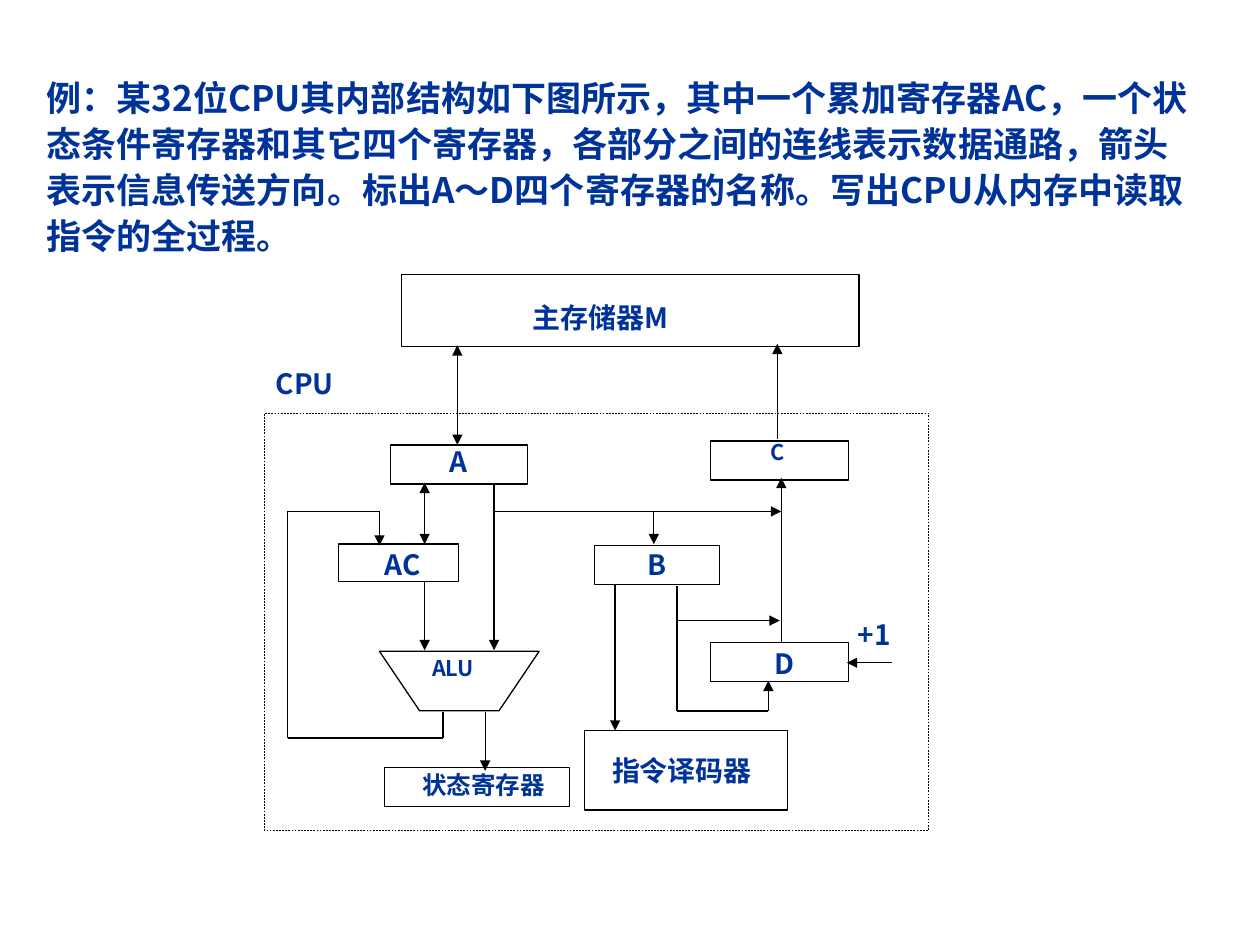
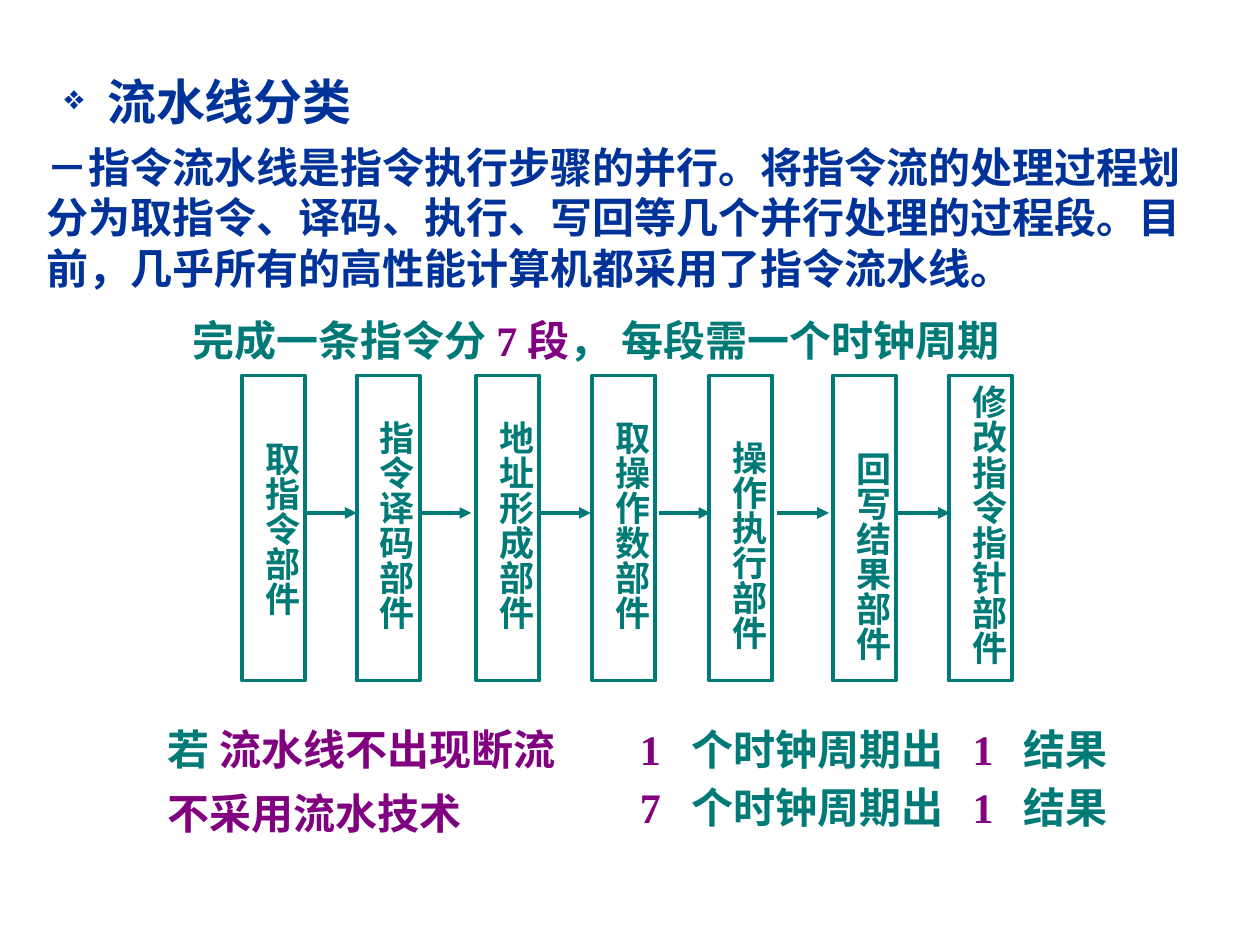
from dataclasses import dataclass
from itertools import pairwise

from pptx import Presentation
from pptx import util as u
from pptx.dml import color
from pptx.enum import dml, shapes, text
from pptx.oxml import ns, xmlchemy

ALIGN = text.PP_ALIGN


@dataclass(frozen=True)
class Theme:
    """Colours, fonts and type sizes shared by the slides."""
    navy: str = "003399"
    teal: str = "007A77"
    purple: str = "800080"
    black: str = "000000"
    cjk: str = "Noto Sans CJK SC"
    sans: str = "Arial"
    serif: str = "Times New Roman"
    heading: float = 28
    body: float = 24
    question: float = 20
    label: float = 16
    small: float = 14
    tiny: float = 12.4
    thin: float = 0.75
    thick: float = 2.25


THEME = Theme()


def cm(values):
    """Turn centimetre numbers into lengths."""
    return [u.Cm(value) for value in values]


def add_xml(parent, tag, **attributes):
    """Append a DrawingML element and return it."""
    child = xmlchemy.OxmlElement(tag)
    for key, value in attributes.items():
        child.set(key, str(value))
    parent.append(child)
    return child


def text_frame(slide, box, inset=(0.25, 0.13), anchor=text.MSO_ANCHOR.TOP, vertical=False):
    """Add a text box and return its frame."""
    frame = slide.shapes.add_textbox(*cm(box)).text_frame
    frame.word_wrap = True
    frame.vertical_anchor = anchor
    frame.margin_left = frame.margin_right = u.Cm(inset[0])
    frame.margin_top = frame.margin_bottom = u.Cm(inset[1])
    if vertical:
        frame._txBody.bodyPr.set("vert", "eaVert")
    return frame


def write(frame, *runs, size=THEME.label, font=THEME.cjk, ink=THEME.navy,
          align=ALIGN.LEFT, spacing=None, before=None, bullet=None, tabs=()):
    """Write one paragraph from strings or (string, colour) pairs."""
    first = frame.paragraphs[0]
    paragraph = frame.add_paragraph() if first.runs else first
    paragraph.alignment = align
    if spacing:
        paragraph.line_spacing = spacing
    if before:
        paragraph.space_before = u.Pt(before)
    properties = paragraph._p.get_or_add_pPr()
    if bullet:
        properties.set("marL", str(u.Cm(1.22)))
        properties.set("indent", str(-u.Cm(0.86)))
        add_xml(properties, "a:buSzPct", val=70000)
        add_xml(properties, "a:buChar", char=bullet)
    if tabs:
        stops = add_xml(properties, "a:tabLst")
        for stop in tabs:
            add_xml(stops, "a:tab", pos=u.Cm(stop), algn="l")
    for item in runs:
        words, tint = (item, ink) if isinstance(item, str) else item
        run = paragraph.add_run()
        run.text = words
        run.font.size = u.Pt(size)
        run.font.bold = True
        run.font.color.rgb = color.RGBColor.from_string(tint)
        run.font.name = font
        add_xml(run._r.get_or_add_rPr(), "a:ea", typeface=THEME.cjk)


def outline(shape, ink=THEME.black, width=THEME.thin, dash=None):
    """Leave a shape unfilled with a plain outline."""
    shape.shadow.inherit = False
    shape.fill.background()
    shape.line.color.rgb = color.RGBColor.from_string(ink)
    shape.line.width = u.Pt(width)
    if dash:
        shape.line.dash_style = dash


def block(slide, box, **line):
    """Add an outlined rectangle."""
    outline(slide.shapes.add_shape(shapes.MSO_SHAPE.RECTANGLE, *cm(box)), **line)


def polygon(slide, points):
    """Add an outlined closed polygon."""
    start, *rest = [cm(point) for point in points]
    builder = slide.shapes.build_freeform(*start)
    builder.add_line_segments(rest, close=True)
    outline(builder.convert_to_shape())


def wire(slide, *points, head=False, tail=True, ink=THEME.black, width=THEME.thin):
    """Join points with straight lines, with arrowheads at the ends."""
    segments = list(pairwise(points))
    for index, (start, end) in enumerate(segments):
        connector = slide.shapes.add_connector(
            shapes.MSO_CONNECTOR.STRAIGHT, *cm(start), *cm(end))
        connector.line.color.rgb = color.RGBColor.from_string(ink)
        connector.line.width = u.Pt(width)
        properties = connector._element.spPr
        stroke = properties.find(ns.qn("a:ln"))
        if head and index == 0:
            add_xml(stroke, "a:headEnd", type="triangle")
        if tail and index == len(segments) - 1:
            add_xml(stroke, "a:tailEnd", type="triangle")
        add_xml(properties, "a:effectLst")


def cpu_slide(slide):
    """Draw the CPU structure question."""
    question = text_frame(slide, (0.69, 1.32, 23.6, 4.19))
    write(question, "例：某32位CPU其内部结构如下图所示，其中一个累加寄存器AC，一个状态条件寄存器"
          "和其它四个寄存器，各部分之间的连线表示数据通路，箭头表示信息传送方向。"
          "标出A～D四个寄存器的名称。写出CPU从内存中读取指令的全过程。",
          size=THEME.question, spacing=1.1)

    block(slide, (5.33, 8.33, 13.39, 8.41), width=0.25, dash=dml.MSO_LINE.DASH)
    memory = (8.1, 5.54, 9.22, 1.45)
    accumulator = (6.83, 10.97, 2.41, 0.76)
    register_b = (11.99, 11, 2.51, 0.79)
    decoder = (11.79, 14.73, 4.09, 1.6)
    status = (7.75, 15.47, 3.73, 0.79)
    registers = [(x, y, 2.77, 0.79) for x, y in ((7.87, 8.97), (14.33, 8.89), (14.33, 12.95))]
    for unit in (memory, accumulator, register_b, decoder, status, *registers):
        block(slide, unit)
    polygon(slide, [(7.65, 13.13), (8.46, 14.33), (10.06, 14.33), (10.87, 13.13)])

    middle = {"align": ALIGN.CENTER}
    tight = {"size": THEME.tiny, "spacing": 0.8}
    labels = [
        ("CPU", 5.31, 7.26, 2.31, {}),
        ("主存储器M", 10.49, 5.92, 4.17, {}),
        ("A", 8.56, 8.84, 1.37, middle),
        ("C", 14.99, 8.81, 1.37, middle | tight),
        ("AC", 7.19, 10.9, 1.85, middle),
        ("B", 12.55, 10.9, 1.4, middle),
        ("D", 15.14, 12.9, 1.37, middle),
        ("ALU", 8.46, 13.18, 1.47, tight),
        ("状态寄存器", 8.26, 15.39, 3.28, {"size": THEME.small}),
        ("指令译码器", 12.09, 15.06, 3.84, {}),
        ("+1", 17.04, 12.32, 1.24, {}),
    ]
    for words, left, top, width, style in labels:
        write(text_frame(slide, (left, top, width, 1.0)), words,
              **({"align": ALIGN.JUSTIFY} | style))

    wire(slide, (9.22, 6.96), (9.22, 8.97), head=True)
    wire(slide, (8.56, 9.73), (8.56, 10.97), head=True)
    data_paths = [
        [(15.67, 8.84), (15.67, 6.93)],
        [(9.96, 9.73), (9.96, 13.11)],
        [(9.96, 10.31), (15.75, 10.31)],
        [(13.18, 10.31), (13.18, 10.97)],
        [(15.75, 12.95), (15.75, 9.63)],
        [(12.4, 11.79), (12.4, 14.73)],
        [(13.65, 11.81), (13.65, 14.33), (15.49, 14.33), (15.49, 13.72)],
        [(13.65, 12.51), (15.72, 12.51)],
        [(8.56, 11.71), (8.56, 13.11)],
        [(9.78, 14.35), (9.78, 15.54)],
        [(8.93, 14.35), (8.93, 14.88), (5.8, 14.88), (5.8, 10.31), (7.65, 10.31), (7.65, 11)],
        [(17.98, 13.36), (17.07, 13.36)],
    ]
    for points in data_paths:
        wire(slide, *points)


def stage(slide, name, left, label_middle):
    """Add one pipeline stage with its vertical name."""
    height = 0.71 * len(name) + 0.55
    frame = text_frame(slide, (left, label_middle - height / 2, 1.35, height),
                       inset=(0.13, 0.25), vertical=True)
    write(frame, name, size=THEME.question, font=THEME.serif, ink=THEME.teal)
    block(slide, (left, 7.57, 1.27, 6.15), ink=THEME.teal, width=THEME.thick)


def remark(slide, left, top, width, *runs, **style):
    """Add one teal line of text about the pipeline."""
    frame = text_frame(slide, (left, top, width, 1.47), inset=(0, 0.13),
                       anchor=text.MSO_ANCHOR.MIDDLE)
    write(frame, *runs, size=THEME.body, font=THEME.serif, ink=THEME.teal, **style)


def pipeline_slide(slide):
    """Draw the instruction pipeline."""
    intro = text_frame(slide, (0.69, 1.32, 23.72, 4.8))
    write(intro, "流水线分类", size=THEME.heading, font=THEME.sans, bullet="❖")
    write(intro, "－指令流水线是指令执行步骤的并行。将指令流的处理过程划分为取指令、译码、执行、"
          "写回等几个并行处理的过程段。目前，几乎所有的高性能计算机都采用了指令流水线。",
          size=THEME.body, font=THEME.sans, before=6)

    remark(slide, 3.89, 6.12, 18.21, "完成一条指令分 ", ("7 段", THEME.purple),
           "， 每段需一个时钟周期")
    stages = [
        ("取指令部件", 4.88, 10.71),
        ("指令译码部件", 7.19, 10.63),
        ("地址形成部件", 9.6, 10.63),
        ("取操作数部件", 11.94, 10.63),
        ("操作执行部件", 14.3, 11.04),
        ("回写结果部件", 16.79, 11.26),
        ("修改指令指针部件", 19.13, 10.63),
    ]
    for name, left, label_middle in stages:
        stage(slide, name, left, label_middle)
    for start in (6.15, 8.46, 10.87, 13.28, 15.67, 18.11):
        wire(slide, (start, 10.34), (start + 1.04, 10.34), ink=THEME.teal, width=THEME.thick)

    remark(slide, 3.38, 14.35, 9.32, "若 ", ("流水线不出现断流", THEME.purple))
    remark(slide, 3.38, 15.65, 9.32, ("不采用流水技术", THEME.purple))
    for cycles, top in (("1", 14.35), ("7", 15.52)):
        remark(slide, 12.9, top, 9.8, (cycles, THEME.purple), "\t个时钟周期出\t",
               ("1", THEME.purple), "\t结果", tabs=(1.05, 6.71, 7.73))


def main():
    """Build both slides and save them."""
    deck = Presentation()
    deck.slide_width, deck.slide_height = cm((25.4, 19.05))
    for draw in (cpu_slide, pipeline_slide):
        draw(deck.slides.add_slide(deck.slide_layouts[6]))
    deck.save("out.pptx")


if __name__ == "__main__":
    main()
